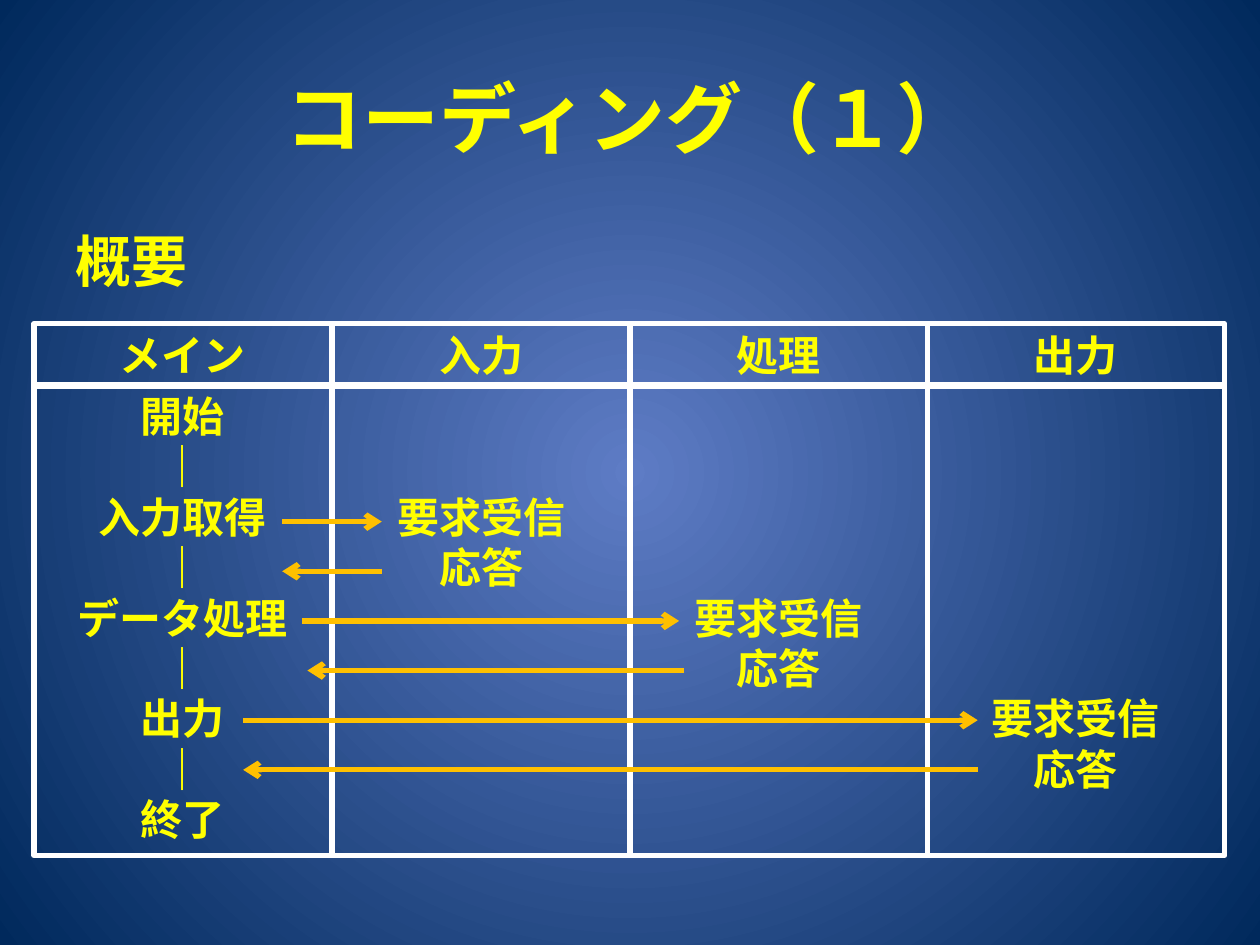
import pptx
import pptx.dml.color
import pptx.enum.shapes
import pptx.enum.text
import pptx.oxml.ns
import pptx.util
from lxml import etree

Inches = pptx.util.Inches
Pt = pptx.util.Pt
qn = pptx.oxml.ns.qn

YELLOW, WHITE, ORANGE = "FFFF00", "FFFFFF", "FFC000"
COLUMN_WIDTH, LINE_HEIGHT, INSET = 2.36, 0.4, 0.05

# Header, number of lines above the text, lines of text
COLUMNS = [
    ("メイン", 0, ["開始", "|", "入力取得", "|", "データ処理", "|", "出力", "|", "終了"]),
    ("入力", 2, ["要求受信", "応答"]),
    ("処理", 4, ["要求受信", "応答"]),
    ("出力", 6, ["要求受信", "応答"]),
]
# Start of each call and reply: from x, to x
ARROWS = [(2.24, 3.03), (3.03, 2.24), (2.4, 5.39), (5.43, 2.44), (1.93, 7.76), (7.76, 1.93)]


def color(value):
    return pptx.dml.color.RGBColor.from_string(value)


def set_background(slide):
    fill = slide.background.fill
    fill.gradient()
    for stop, position, value in zip(fill.gradient_stops, (0, 1), ("5E7CC5", "00295C")):
        stop.position = position
        stop.color.rgb = color(value)
    # A radial gradient from the centre replaces the linear one
    gradient = slide.background._cSld.find(".//" + qn("a:gradFill"))
    for linear in gradient.findall(qn("a:lin")):
        gradient.remove(linear)
    radial = etree.SubElement(gradient, qn("a:path"), {"path": "circle"})
    etree.SubElement(radial, qn("a:fillToRect"), dict.fromkeys("ltrb", "50000"))


def write(shape, lines, size, font, align, anchor=pptx.enum.text.MSO_ANCHOR.TOP):
    frame = shape.text_frame
    frame.word_wrap = True
    frame.vertical_anchor = anchor
    frame.text = "\n".join(lines)
    for paragraph in frame.paragraphs:
        paragraph.alignment = align
        for run in paragraph.runs:
            run.font.size = Pt(size)
            run.font.name = font
            run.font.bold = True
            run.font.color.rgb = color(YELLOW)


def place(shape, left, top, width, height):
    shape.left, shape.top = Inches(left), Inches(top)
    shape.width, shape.height = Inches(width), Inches(height)


def add_box(slide, left, top, height, lines, skipped=0):
    box = slide.shapes.add_shape(
        pptx.enum.shapes.MSO_SHAPE.RECTANGLE,
        Inches(left), Inches(top), Inches(COLUMN_WIDTH), Inches(height))
    box.shadow.inherit = False
    box.fill.background()
    box.line.color.rgb = color(WHITE)
    box.line.width = Pt(3)
    write(box, lines, 24, "Calibri", pptx.enum.text.PP_ALIGN.CENTER)
    box.text_frame.margin_top = Inches(INSET + skipped * LINE_HEIGHT)


def add_arrow(slide, start, end, y):
    arrow = slide.shapes.add_connector(
        pptx.enum.shapes.MSO_CONNECTOR.STRAIGHT,
        Inches(start), Inches(y), Inches(end), Inches(y))
    arrow.line.color.rgb = color(ORANGE)
    arrow.line.width = Pt(3)
    etree.SubElement(arrow.line._get_or_add_ln(), qn("a:tailEnd"), {"type": "arrow"})
    etree.SubElement(arrow._element.spPr, qn("a:effectLst"))


def main():
    presentation = pptx.Presentation()
    presentation.slide_width, presentation.slide_height = Inches(10), Inches(7.5)
    slide = presentation.slides.add_slide(presentation.slide_layouts[5])
    set_background(slide)

    # Title and heading
    title = slide.shapes.title
    place(title, 0.5, 0.3, 9, 1.25)
    write(title, ["コーディング（１）"], 44, "Arial",
          pptx.enum.text.PP_ALIGN.CENTER, pptx.enum.text.MSO_ANCHOR.MIDDLE)
    heading = slide.shapes.add_textbox(Inches(0.5), Inches(1.75), Inches(9), Inches(0.7))
    write(heading, ["概要"], 32, "Arial", pptx.enum.text.PP_ALIGN.LEFT)

    # Columns with header and body
    for index, (header, skipped, lines) in enumerate(COLUMNS):
        left = 0.27 + index * COLUMN_WIDTH + (0.01 if index else 0)
        add_box(slide, left, 2.57, 0.5, [header])
        add_box(slide, left, 3.05, 3.74, [line.replace("|", "｜") for line in lines], skipped)

    # Calls and replies between the columns
    for index, (start, end) in enumerate(ARROWS):
        add_arrow(slide, start, end, 4.14 + index * 0.394)

    presentation.save("out.pptx")


main()
